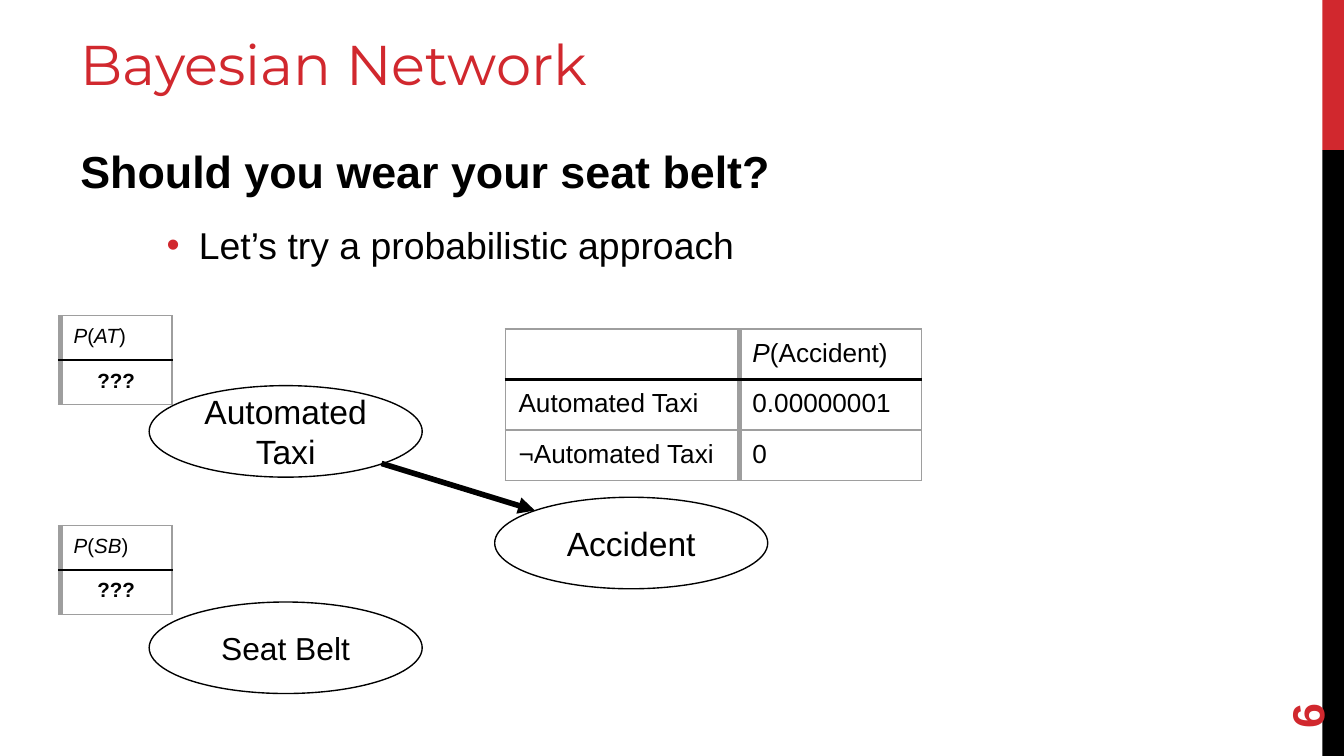
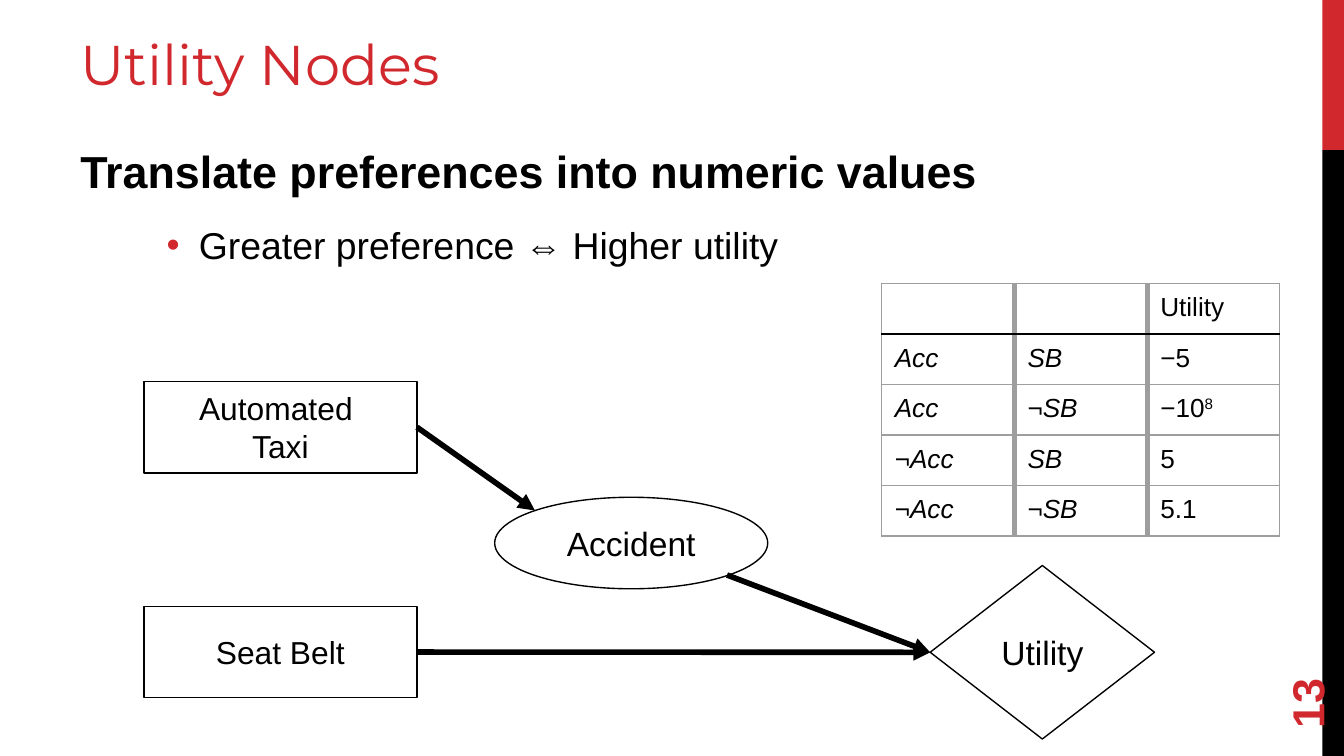
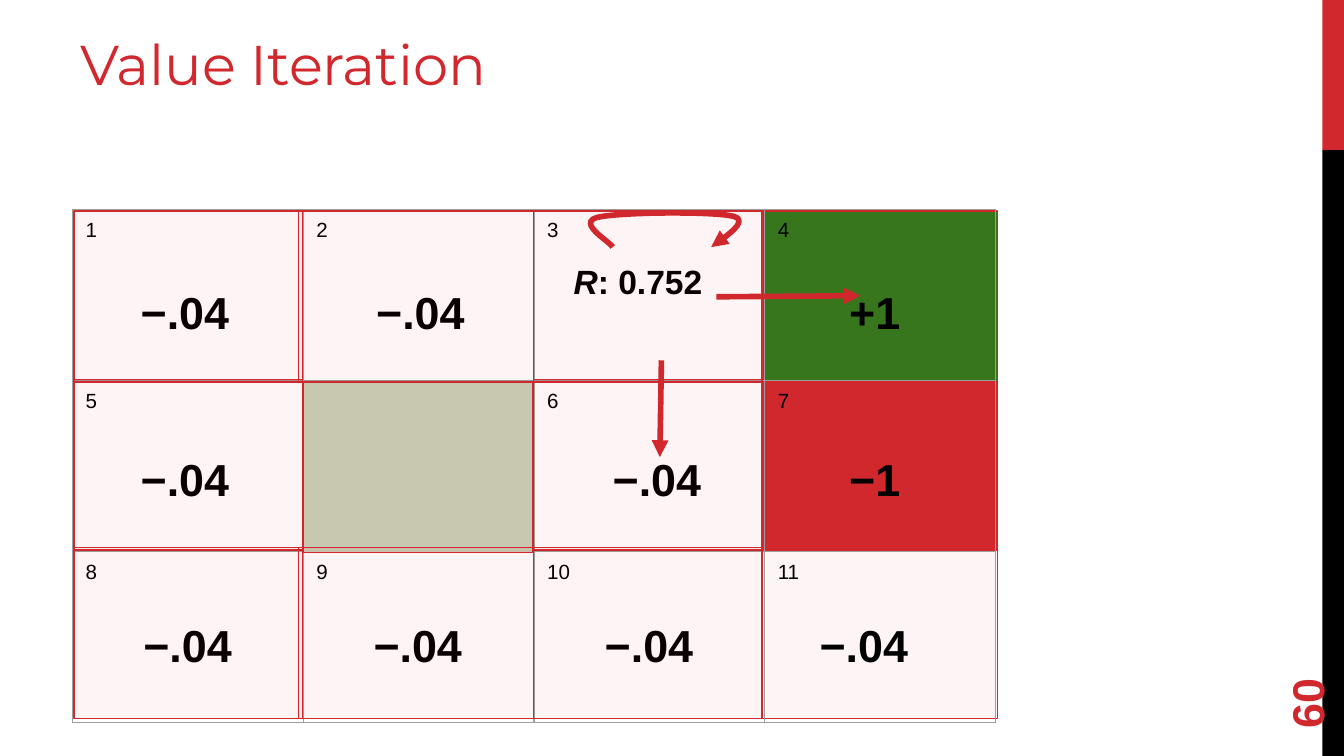
from lxml.etree import SubElement
from pptx import Presentation
from pptx.dml.color import RGBColor
from pptx.enum.shapes import MSO_CONNECTOR, MSO_SHAPE
from pptx.enum.text import MSO_ANCHOR, PP_ALIGN
from pptx.oxml.ns import qn
from pptx.oxml.xmlchemy import OxmlElement
from pptx.util import Cm, Pt

RED, BLACK, WHITE, GRAY = "D1282E", "000000", "FFFFFF", "9E9E9E"
GREEN, WALL, TINT = "38761D", "C8C8B1", "D10000"
BODY_FONT, TITLE_FONT = "Arial", "Montserrat"
THIN, HEADER_LINE, THICK = 0.75, 1.5, 3


def color(hex_string):
    return RGBColor.from_string(hex_string)


def bezier(start, control_1, control_2, end, steps=12):
    """Points along a cubic curve, without its start."""
    for step in range(1, steps + 1):
        t = step / steps
        weights = ((1 - t) ** 3, 3 * t * (1 - t) ** 2, 3 * t * t * (1 - t), t ** 3)
        corners = (start, control_1, control_2, end)
        yield tuple(sum(w * corner[axis] for w, corner in zip(weights, corners))
                    for axis in (0, 1))


class Deck:
    """Holds the style and the current slide; lengths are centimetres."""

    def __init__(self):
        self.presentation = Presentation()
        self.presentation.slide_width = Cm(25.4)
        self.presentation.slide_height = Cm(14.29)
        self.slide = None

    def new_slide(self, title, number):
        layout = self.presentation.slide_layouts[6]
        self.slide = self.presentation.slides.add_slide(layout)
        self.shape(MSO_SHAPE.RECTANGLE, 24.99, 0, 0.41, 2.84, fill=RED)
        self.shape(MSO_SHAPE.RECTANGLE, 24.99, 2.84, 0.41, 11.45, fill=BLACK)
        self.text_box(title, 1.27, 0.33, 22.45, 1.63, size=30, font=TITLE_FONT,
                      text_color=RED, anchor=MSO_ANCHOR.BOTTOM, inset=0.13)
        box = self.text_box(number, 23.32, 12.14, 2.74, 1.02, bold=True,
                            text_color=RED, anchor=MSO_ANCHOR.MIDDLE, inset=0.13)
        box.rotation = 270

    def fill_text(self, paragraph, text, size, bold=False, font=BODY_FONT, text_color=BLACK):
        """Underscores switch italics; a caret starts a superscript."""
        base, _, superscript = text.partition("^")
        pieces = base.split("_")
        if len(pieces) == 1:
            paragraph.text = base
        else:
            for index, piece in enumerate(pieces):
                if piece:
                    run = paragraph.add_run()
                    run.text = piece
                    run.font.italic = index % 2 == 1
        if superscript:
            run = paragraph.add_run()
            run.text = superscript
            run._r.get_or_add_rPr().set("baseline", "30000")
        for run in paragraph.runs:
            run.font.size, run.font.bold, run.font.name = Pt(size), bold, font
            run.font.color.rgb = color(text_color)
        if not text:
            SubElement(paragraph._p, qn("a:endParaRPr"), sz=str(size * 100))

    def set_frame(self, frame, anchor, inset):
        frame.word_wrap = True
        frame.vertical_anchor = anchor
        frame.margin_left = frame.margin_right = Cm(0.25)
        frame.margin_top = frame.margin_bottom = Cm(inset)

    def text_box(self, text, left, top, width, height, size=24, bold=False,
                 font=BODY_FONT, text_color=BLACK, anchor=MSO_ANCHOR.TOP, inset=0.25):
        box = self.slide.shapes.add_textbox(Cm(left), Cm(top), Cm(width), Cm(height))
        self.set_frame(box.text_frame, anchor, inset)
        self.fill_text(box.text_frame.paragraphs[0], text, size, bold, font, text_color)
        return box

    def body(self, heading, point):
        frame = self.text_box(heading, 1.27, 2.49, 22.45, 11.53, bold=True,
                              inset=0.13).text_frame
        paragraph = frame.add_paragraph()
        paragraph.level = 1
        properties = paragraph._p.get_or_add_pPr()
        properties.set("marL", str(Cm(2.24)))
        properties.set("indent", str(Cm(-0.61)))
        bullet_color = SubElement(properties, qn("a:buClr"))
        SubElement(bullet_color, qn("a:srgbClr"), val=RED)
        SubElement(properties, qn("a:buFont"), typeface=BODY_FONT)
        SubElement(properties, qn("a:buChar"), char="•")
        paragraph.space_before = Pt(10.8)
        self.fill_text(paragraph, point, 20)
        for paragraph in frame.paragraphs:
            paragraph.line_spacing = 1.1

    def shape(self, kind, left, top, width, height, fill=None, line=None, opacity=None):
        shape = self.slide.shapes.add_shape(kind, Cm(left), Cm(top), Cm(width), Cm(height))
        shape.shadow.inherit = False
        if fill:
            shape.fill.solid()
            shape.fill.fore_color.rgb = color(fill)
        else:
            shape.fill.background()
        if opacity:
            fill_color = shape.element.spPr.find(qn("a:solidFill"))[0]
            SubElement(fill_color, qn("a:alpha"), val=str(opacity * 1000))
        if line:
            shape.line.color.rgb = color(line)
            shape.line.width = Pt(THIN)
        else:
            shape.line.fill.background()
        return shape

    def node(self, kind, text, left, top, width=5.16, height=1.73, size=18, fill=None):
        shape = self.shape(kind, left, top, width, height, fill, BLACK)
        frame = shape.text_frame
        self.set_frame(frame, MSO_ANCHOR.MIDDLE, 0.25)
        frame.text = text
        for paragraph in frame.paragraphs:
            paragraph.alignment = PP_ALIGN.CENTER
            self.fill_text(paragraph, paragraph.text, size)
        return shape

    def arrow_line(self, shape, line_color):
        shape.line.color.rgb = color(line_color)
        shape.line.width = Pt(THICK)
        SubElement(shape.element.spPr.find(qn("a:ln")), qn("a:tailEnd"), type="triangle")

    def arrow(self, start, end, line_color=BLACK, start_node=None, end_node=None):
        """Joins the right side of start_node and the left side of end_node."""
        connector = self.slide.shapes.add_connector(
            MSO_CONNECTOR.STRAIGHT, *(Cm(value) for value in start + end))
        if start_node:
            connector.begin_connect(start_node, 3)
        if end_node:
            connector.end_connect(end_node, 1)
        self.arrow_line(connector, line_color)
        SubElement(connector.element.spPr, qn("a:effectLst"))

    def curved_arrow(self, start, curves, line_color):
        points = [start]
        for curve in curves:
            points.extend(list(bezier(points[-1], *curve)))
        points = [(Cm(x), Cm(y)) for x, y in points]
        builder = self.slide.shapes.build_freeform(*points[0])
        builder.add_line_segments(points[1:], close=False)
        shape = builder.convert_to_shape()
        shape.shadow.inherit = False
        shape.fill.background()
        self.arrow_line(shape, line_color)

    def set_borders(self, cell, borders):
        properties = cell._tc.get_or_add_tcPr()
        for position, (side, (line_color, width)) in enumerate(zip("LRTB", borders)):
            line = OxmlElement(f"a:ln{side}")
            line.set("w", str(Pt(width)))
            fill = SubElement(line, qn("a:solidFill"))
            SubElement(fill, qn("a:srgbClr"), val=line_color)
            properties.insert(position, line)

    def table(self, rows, left, top, widths, row_height, size, left_edge=THIN, header=True):
        """A header gives a black rule below it and thick lines between columns."""
        frame = self.slide.shapes.add_table(
            len(rows), len(widths), Cm(left), Cm(top),
            Cm(sum(widths)), Cm(row_height * len(rows)))
        table = frame.table
        table.first_row = table.horz_banding = False
        for column, width in zip(table.columns, widths):
            column.width = Cm(width)
        inner = (GRAY, THICK if header else THIN)
        outer = (GRAY, THIN)
        rule = (BLACK, HEADER_LINE) if header else outer
        for r, row in enumerate(rows):
            table.rows[r].height = Cm(row_height)
            for c, text in enumerate(row):
                cell = table.cell(r, c)
                cell.fill.background()
                cell.margin_left = cell.margin_right = Cm(0.25)
                cell.margin_top = cell.margin_bottom = Cm(0.18)
                self.fill_text(cell.text_frame.paragraphs[0], text, size)
                self.set_borders(cell, (
                    inner if c else (GRAY, left_edge),
                    inner if c < len(row) - 1 else outer,
                    rule if r == 1 else outer,
                    rule if r == 0 else outer))
        return table


def bayesian_network(deck):
    deck.new_slide("Bayesian Network", "6")
    deck.body("Should you wear your seat belt?", "Let’s try a probabilistic approach")

    # Network
    deck.node(MSO_SHAPE.OVAL, "Automated\vTaxi", 2.82, 7.29)
    deck.node(MSO_SHAPE.OVAL, "Accident", 9.35, 9.4)
    deck.node(MSO_SHAPE.OVAL, "Seat Belt", 2.82, 11.38, size=17)
    deck.arrow((7.21, 8.76), (10.11, 9.65))

    # Probabilities
    for variable, top in (("AT", 5.97), ("SB", 9.93)):
        prior = deck.table([[f"_P_(_{variable}_)"], ["???"]], 1.14, top, [2.11], 0.84,
                           size=11, left_edge=THICK)
        unknown = prior.cell(1, 0).text_frame.paragraphs[0]
        unknown.alignment = PP_ALIGN.CENTER
        unknown.runs[0].font.bold = True
    deck.table([["", "_P_(Accident)"],
                ["Automated Taxi", "0.00000001"],
                ["_¬_Automated Taxi", "0"]], 9.55, 6.22, [4.42, 3.45], 0.95, size=14)


def utility_nodes(deck):
    deck.new_slide("Utility Nodes", "13")
    deck.table([["", "", "Utility"],
                ["_Acc_", "_SB_", "−5"],
                ["_Acc_", "_¬SB_", "−10^8"],
                ["_¬Acc_", "_SB_", "5"],
                ["_¬Acc_", "_¬SB_", "5.1"]], 16.66, 5.36, [2.51] * 3, 0.94, size=14)
    deck.body("Translate preferences into numeric values",
              "Greater preference ⇔ Higher utility")

    # Decision network
    utility = deck.node(MSO_SHAPE.DIAMOND, "Utility", 17.58, 10.69, 4.24, 3.28, fill=WHITE)
    deck.node(MSO_SHAPE.OVAL, "Accident", 9.35, 9.4)
    taxi = deck.node(MSO_SHAPE.RECTANGLE, "Automated \nTaxi", 2.72, 7.21, size=17, fill=WHITE)
    belt = deck.node(MSO_SHAPE.RECTANGLE, "Seat Belt", 2.72, 11.46, size=17, fill=WHITE)
    deck.arrow((13.74, 10.87), (17.58, 12.33), end_node=utility)
    deck.arrow((7.88, 12.33), (17.58, 12.33), start_node=belt, end_node=utility)
    deck.arrow((7.88, 8.08), (10.11, 9.65), start_node=taxi)


def value_iteration(deck):
    deck.new_slide("Value Iteration", "60")
    columns = [(1.4, 4.32), (5.64, 4.45), (10.08, 4.32), (14.4, 4.45)]

    def state(row, column, fill=TINT, opacity=4):
        left, width = columns[column]
        deck.shape(MSO_SHAPE.RECTANGLE, left, 3.99 + 3.18 * row, width, 3.23,
                   fill, RED, opacity)

    # Grid of states
    state(1, 3, RED, None)
    state(0, 3, GREEN, None)
    state(2, 3)
    deck.table([["1", "2", "3", "4"], ["5", "", "6", "7"], ["8", "9", "10", "11"]],
               1.37, 3.96, [4.36] * 4, 3.23, size=11, header=False)
    deck.shape(MSO_SHAPE.RECTANGLE, 5.74, 7.21, 4.32, 3.23, WALL, RED)

    # Rewards: left edge and text, row by row
    rewards = [
        [(2.41, "−.04"), (6.86, "−.04"), (15.8, "+1")],
        [(2.41, "−.04"), (11.33, "−.04"), (15.8, "−1")],
        [(2.46, "−.04"), (6.81, "−.04"), (11.18, "−.04"), (15.24, "−.04")],
    ]
    for row, labels in enumerate(rewards):
        for left, text in labels:
            width = 2.34 if text == "−.04" else 1.6
            deck.text_box(text, left, 5.13 + 3.15 * row, width, 1.07, bold=True)
    deck.text_box("_R_: 0.752", 10.59, 4.69, 3.84, 2.5, size=18, bold=True)

    for row in range(3):
        for column in range(3):
            if (row, column) != (1, 1):
                state(row, column)

    # Moves from state 3
    deck.arrow((12.5, 6.81), (12.47, 8.64), RED)
    deck.arrow((13.54, 5.61), (16.26, 5.59), RED)
    deck.curved_arrow((11.58, 4.67), [
        ((11.53, 4.57), (10.9, 4.22), (11.28, 4.11)),
        ((11.66, 4.01), (13.49, 3.99), (13.87, 4.09)),
        ((14.22, 4.19), (13.51, 4.6), (13.44, 4.67)),
    ], RED)


def main():
    deck = Deck()
    bayesian_network(deck)
    utility_nodes(deck)
    value_iteration(deck)
    deck.presentation.save("out.pptx")


if __name__ == "__main__":
    main()
